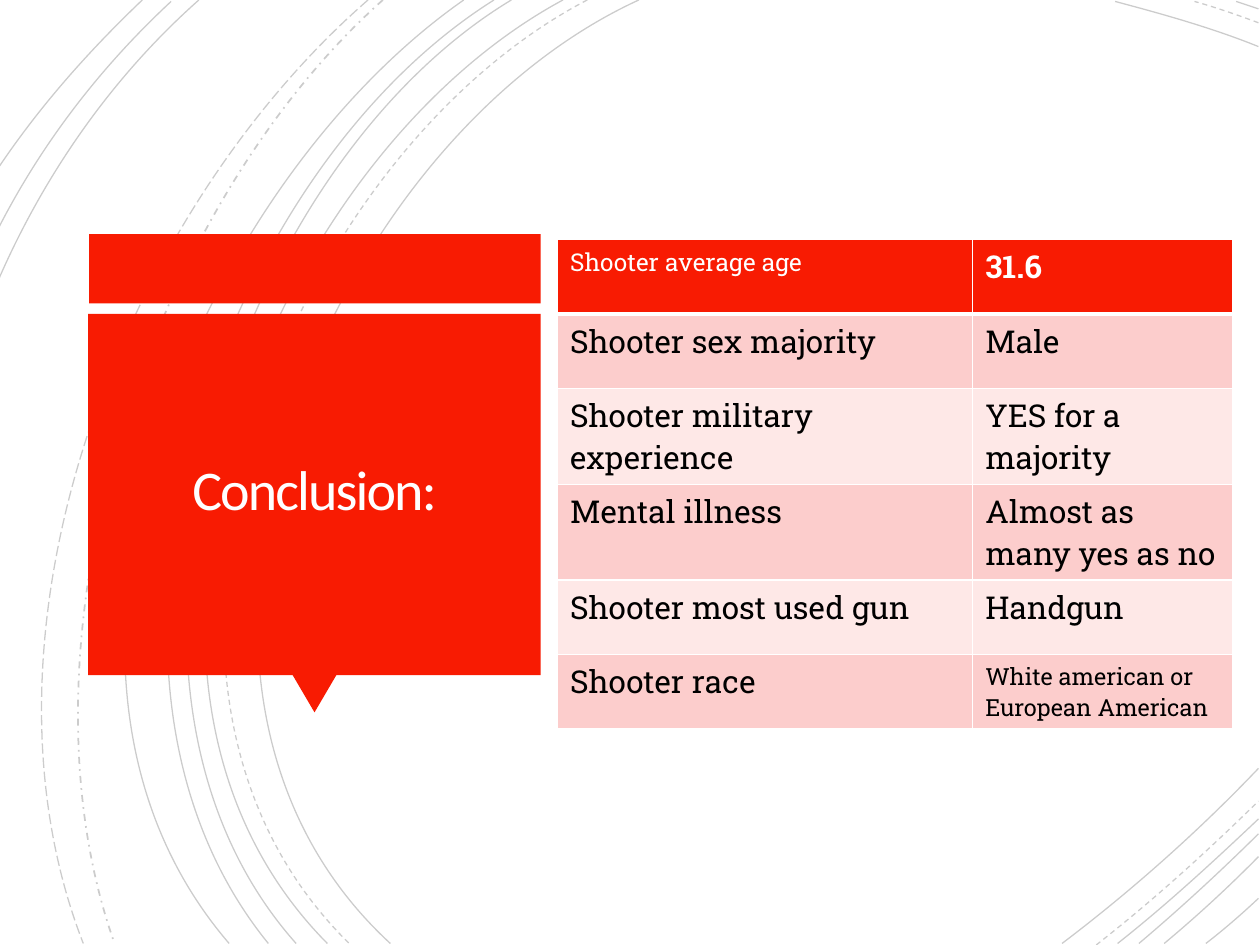
from pptx import Presentation as Deck
from pptx.dml.color import RGBColor as Rgb
from pptx.enum.dml import MSO_LINE_DASH_STYLE as Dash
from pptx.enum.shapes import MSO_SHAPE as Kind
from pptx.enum.text import MSO_ANCHOR as Anchor, MSO_AUTO_SIZE as Fit, PP_ALIGN as Align
from pptx.oxml import parse_xml
from pptx.oxml.ns import nsdecls, qn
from pptx.util import Cm, Pt

HUES = {
    "red": "F81B02",
    "rose": "FCCDCC",
    "blush": "FEE8E7",
    "black": "000000",
    "white": "FFFFFF",
    "cream": "FFFEFF",
}
ARCS = {
    (Dash.SOLID, 0.75): [
        [(12.88, 0), (6.5, 2.92), (2.11, 13.72), (7.87, 19.02)],
        [(25.37, 0.94), (24.43, 0.56), (23.42, 0.28), (22.48, 0.03)],
        [(21.41, 19.02), (22.81, 17.96), (24.16, 16.76), (25.37, 15.49)],
        [(11.35, 0), (5.36, 3.23), (1.27, 13.64), (6.6, 19.02)],
        [(25.37, 0.18), (25.22, 0.13), (25.07, 0.08), (24.92, 0.03)],
        [(22.53, 19.02), (23.52, 18.24), (24.46, 17.37), (25.37, 16.51)],
        [(10.31, 0), (4.7, 3.38), (1.27, 13.74), (5.97, 19.02)],
        [(22.96, 19.02), (23.8, 18.31), (24.59, 17.58), (25.37, 16.81)],
        [(9.96, 0), (4.37, 3.51), (0.97, 13.56), (5.41, 19.02)],
        [(23.47, 19.02), (24.13, 18.47), (24.77, 17.88), (25.37, 17.27)],
        [(9.35, 0), (4.01, 3.73), (-0.18, 13.44), (4.62, 19.02)],
        [(24.31, 19.02), (24.66, 18.75), (25.02, 18.44), (25.37, 18.11)],
        [(4.01, 0), (2.24, 1.57), (0.89, 3.53), (-0.03, 5.64)],
        [(3.45, 0.03), (2.01, 1.37), (0.84, 2.9), (-0.03, 4.6)],
        [(2.87, 0), (1.8, 1.02), (0.81, 2.13), (-0.03, 3.38)],
    ],
    (Dash.DASH, 0.75): [
        [(11.84, 0), (5.74, 3.18), (1.6, 13.67), (7.04, 19.02)],
        [(25.37, 0.46), (24.94, 0.3), (24.51, 0.15), (24.08, 0.03)],
        [(22.1, 19.05), (23.24, 18.16), (24.33, 17.17), (25.37, 16.15)],
    ],
    (Dash.DASH_DOT, 1): [
        [(7.72, 0), (2.97, 4.22), (0.15, 12.93), (2.31, 19.02)],
    ],
    (Dash.LONG_DASH, 0.75): [
        [(7.42, 0), (2.49, 4.29), (-0.79, 12.67), (1.68, 19.02)],
    ],
}
ROWS = [
    ("Shooter average age", "31.6"),
    ("Shooter sex majority", "Male"),
    ("Shooter military experience", "YES for a majority"),
    ("Mental illness", "Almost as many yes as no"),
    ("Shooter most used gun", "Handgun"),
    ("Shooter race", "White american or European American"),
]
SIZES = {(0, 0): 14, (5, 1): 13.5}


def hue(name):
    return Rgb.from_string(HUES[name])


def put(item, **form):
    for key, value in form.items():
        setattr(item, key, value)


def bend(curve):
    legs = curve._element.findall(".//" + qn("a:lnTo"))
    turn = parse_xml(f'<a:cubicBezTo {nsdecls("a")}/>')
    legs[0].addprevious(turn)
    for leg in legs:
        turn.append(leg[0])
        leg.getparent().remove(leg)


def draw_arc(slide, arc, dash, width):
    dots = [(Cm(x), Cm(y)) for x, y in arc]
    pen = slide.shapes.build_freeform(*dots[0])
    pen.add_line_segments(dots[1:], close=False)
    curve = pen.convert_to_shape()
    bend(curve)
    curve.shadow.inherit = False
    curve.fill.background()
    put(curve.line, width=Pt(width), dash_style=dash)
    curve.line.color.rgb = hue("black")
    tint = curve.line._ln.find(".//" + qn("a:srgbClr"))
    tint.append(parse_xml(f'<a:alpha {nsdecls("a")} val="20000"/>'))


def draw_arcs(slide):
    for (dash, width), arcs in ARCS.items():
        for arc in arcs:
            draw_arc(slide, arc, dash, width)


def block(slide, kind, x, y, w, h):
    shape = slide.shapes.add_shape(kind, Cm(x), Cm(y), Cm(w), Cm(h))
    shape.shadow.inherit = False
    shape.fill.solid()
    shape.fill.fore_color.rgb = hue("red")
    shape.line.fill.background()
    return shape


def draw_panel(slide, x, y, w, h):
    bar, gap, tip = 1.4, 0.21, 0.88
    top = y + bar + gap
    block(slide, Kind.RECTANGLE, x + 0.02, y, w - 0.02, bar)
    point = block(slide, Kind.ISOSCELES_TRIANGLE, x + (w - tip) / 2, y + h, tip, 0.75)
    point.rotation = 180
    block(slide, Kind.RECTANGLE, x, top, w, h - bar - gap)

    title, pad = slide.shapes.title, 0.22
    put(title, left=Cm(x + pad), top=Cm(top + pad - 0.03),
        width=Cm(w - 2 * pad), height=Cm(h - bar - gap - 2 * pad))
    slide.shapes._spTree.append(title._element)
    frame = title.text_frame
    frame.text = "Conclusion:"
    put(frame, word_wrap=True, auto_size=Fit.NONE, vertical_anchor=Anchor.MIDDLE)
    for side in ("left", "top", "right", "bottom"):
        setattr(frame, "margin_" + side, Cm(0.64))
    para = frame.paragraphs[0]
    put(para, alignment=Align.CENTER, line_spacing=0.85)
    run = para.runs[0]
    put(run.font, name="Calibri", size=Pt(32), bold=False)
    run.font.color.rgb = hue("cream")
    run.font._element.set("spc", "-110")


def edge(cell, **widths):
    props = cell._tc.get_or_add_tcPr()
    for spot, (side, width) in enumerate(widths.items()):
        props.insert(spot, parse_xml(
            f'<a:{side} {nsdecls("a")} w="{Pt(width)}"><a:solidFill>'
            f'<a:srgbClr val="{HUES["white"]}"/></a:solidFill></a:{side}>'))


def draw_table(slide, x, y, w, h):
    split = 8.37
    table = slide.shapes.add_table(len(ROWS), 2, Cm(x), Cm(y), Cm(w), Cm(h)).table
    for col, width in zip(table.columns, (split, w - split)):
        col.width = Cm(width)
    for r, words in enumerate(ROWS):
        table.rows[r].height = Cm(h / len(ROWS))
        for c, text in enumerate(words):
            cell = table.cell(r, c)
            cell.text = text
            cell.fill.solid()
            cell.fill.fore_color.rgb = hue("red" if r == 0 else ("blush", "rose")[r % 2])
            font = cell.text_frame.paragraphs[0].runs[0].font
            put(font, name="Roboto Slab", size=Pt(SIZES.get((r, c), 18)),
                bold=(r, c) == (0, 1))
            font.color.rgb = hue("black" if r else "white")
            edge(cell, lnL=1, lnR=1, lnT=3 if r == 1 else 1, lnB=1 if r else 3)


def main():
    deck = Deck()
    put(deck, slide_width=Cm(25.4), slide_height=Cm(19.05))
    slide = deck.slides.add_slide(deck.slide_layouts[5])
    draw_arcs(slide)
    draw_panel(slide, 1.78, 4.72, 9.12, 8.89)
    draw_table(slide, 11.24, 4.83, 13.62, 9)
    deck.save("out.pptx")


if __name__ == "__main__":
    main()
